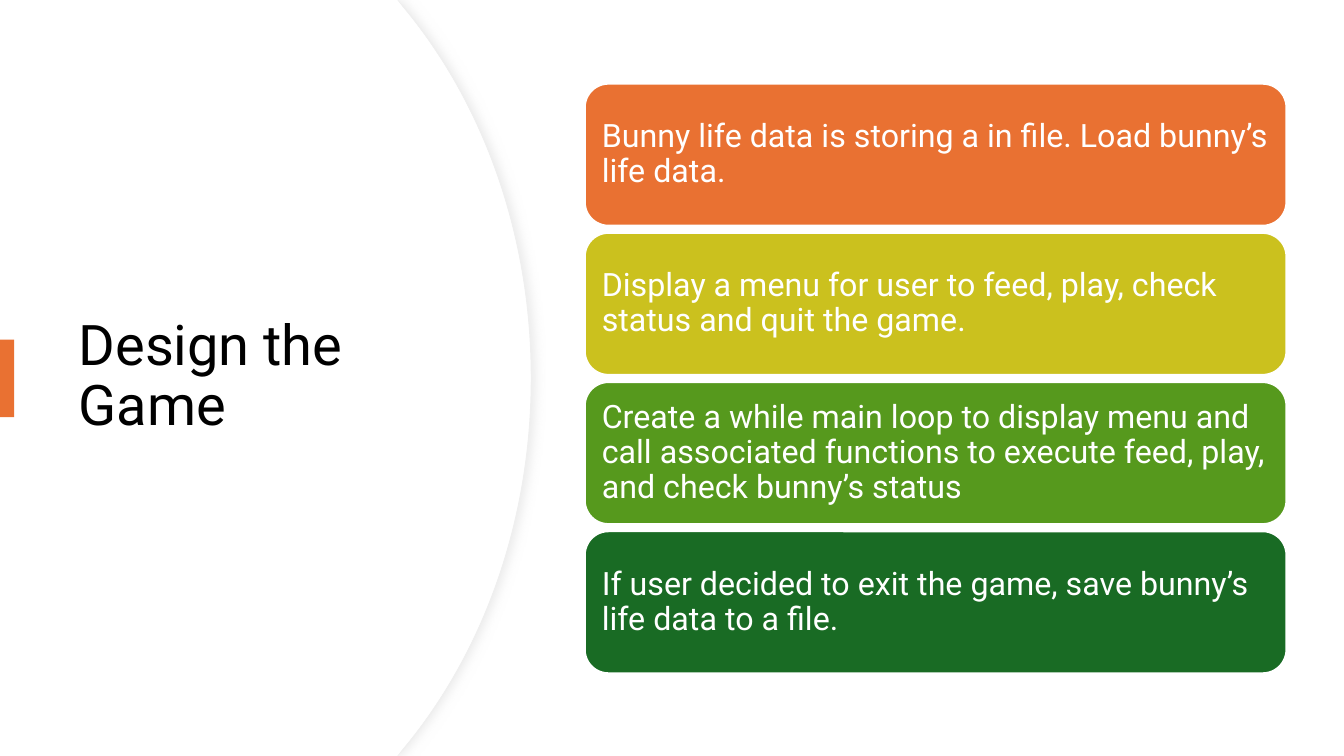
from lxml.etree import SubElement
from pptx import Presentation
from pptx.dml.color import RGBColor
from pptx.enum.shapes import MSO_SHAPE
from pptx.enum.text import MSO_ANCHOR, MSO_AUTO_SIZE, PP_ALIGN
from pptx.oxml.ns import qn
from pptx.util import Pt

PX = 9144  # EMU per px, 100 px to the inch
SLIDE_W, SLIDE_H = 1333, 750
FONT = "Roboto"

WHITE = RGBColor(0xFF, 0xFF, 0xFF)
BLACK = RGBColor(0x00, 0x00, 0x00)
EDGE_GREY = RGBColor(0xEF, 0xEF, 0xEF)
SHADOW_GREY = RGBColor(0xD9, 0xD9, 0xD9)
ORANGE = RGBColor(0xE9, 0x71, 0x32)
YELLOW = RGBColor(0xCB, 0xC1, 0x1E)
GREEN = RGBColor(0x56, 0x99, 0x1D)
DARK_GREEN = RGBColor(0x19, 0x6B, 0x24)

STEPS = [
    ("Bunny life data is storing a in file. Load bunny’s life data.", ORANGE),
    ("Display a menu for user to feed, play, check status and quit the game.", YELLOW),
    ("Create a while main loop to display menu and call associated functions "
     "to execute feed, play, and check bunny’s status", GREEN),
    ("If user decided to exit the game, save bunny’s life data to a file.", DARK_GREEN),
]
STEP_LEFT, STEP_TOP, STEP_W, STEP_H, STEP_PITCH = 580, 83, 696, 141, 148
STEP_PAD = 7


def bend(segment, controls):
    """Turn a straight path segment into a cubic curve with two control points."""
    segment.tag = qn("a:cubicBezTo")
    for i, (x, y) in enumerate(controls):
        segment.insert(i, segment.makeelement(qn("a:pt"), {"x": str(x), "y": str(y)}))


def add_curved_panel(slide, right):
    """White panel from the left slide edge, bulging out to right."""
    builder = slide.shapes.build_freeform(0, 0, scale=PX)
    builder.add_line_segments([
        (394, 0), (right - 126, 8), (right, SLIDE_H // 2),
        (right - 126, SLIDE_H - 8), (394, SLIDE_H), (0, SLIDE_H)])
    s = builder.convert_to_shape()
    segments = list(s._element.iter(qn("a:lnTo")))
    controls = [(right - 48, 102), (right, 232)]
    bend(segments[2], controls)
    bend(segments[3], [(x, SLIDE_H - y) for x, y in reversed(controls)])
    s.shadow.inherit = False
    s.fill.solid()
    s.fill.fore_color.rgb = WHITE
    s.line.fill.background()
    return s


def add_soft_edge(s):
    """Thin grey outline and a soft shadow to the right."""
    s.line.color.rgb = EDGE_GREY
    s.line.width = Pt(0.75)
    effects = s._element.spPr.find(qn("a:effectLst"))
    shadow = SubElement(effects, qn("a:outerShdw"), blurRad=str(Pt(7)),
                        dist=str(Pt(3)), dir="0", algn="l", rotWithShape="0")
    color = SubElement(shadow, qn("a:srgbClr"), val=str(SHADOW_GREY))
    SubElement(color, qn("a:alpha"), val="50000")


def add_block(shapes, kind, left, top, width, height, fill):
    s = shapes.add_shape(kind, left * PX, top * PX, width * PX, height * PX)
    s.shadow.inherit = False
    s.fill.solid()
    s.fill.fore_color.rgb = fill
    s.line.fill.background()
    return s


def write_text(s, text, size, color):
    tf = s.text_frame
    tf.text = text
    tf.word_wrap = True
    tf.auto_size = MSO_AUTO_SIZE.NONE
    tf.vertical_anchor = MSO_ANCHOR.MIDDLE
    p = tf.paragraphs[0]
    p.alignment = PP_ALIGN.LEFT
    p.line_spacing = 0.9
    p.font.name = FONT
    p.font.size = Pt(size)
    p.font.color.rgb = color


def place_title(slide, text):
    title = slide.shapes.title
    title.left, title.top = 68 * PX, 127 * PX
    title.width, title.height = 394 * PX, 495 * PX
    write_text(title, text, 40, BLACK)
    slide.shapes._spTree.append(title._element)  # in front of the panels


def add_step(shapes, index, text, fill):
    top = STEP_TOP + index * STEP_PITCH
    card = add_block(shapes, MSO_SHAPE.ROUNDED_RECTANGLE,
                     STEP_LEFT, top, STEP_W, STEP_H, fill)
    card.line.color.rgb = WHITE
    card.line.width = Pt(1.5)
    label = shapes.add_textbox((STEP_LEFT + STEP_PAD) * PX, (top + STEP_PAD) * PX,
                               (STEP_W - 2 * STEP_PAD) * PX, (STEP_H - 2 * STEP_PAD) * PX)
    tf = label.text_frame
    tf.margin_left = tf.margin_right = tf.margin_top = tf.margin_bottom = 10 * PX
    write_text(label, text, 23, WHITE)


def main():
    prs = Presentation()
    prs.slide_width, prs.slide_height = SLIDE_W * PX, SLIDE_H * PX
    slide = prs.slides.add_slide(prs.slide_layouts[5])

    add_soft_edge(add_curved_panel(slide, 527))
    add_curved_panel(slide, 526)
    place_title(slide, "Design the Game")
    add_block(slide.shapes, MSO_SHAPE.RECTANGLE, 0, 337, 14, 77, ORANGE)
    steps = slide.shapes.add_group_shape()
    for index, (text, fill) in enumerate(STEPS):
        add_step(steps.shapes, index, text, fill)

    prs.save("out.pptx")


if __name__ == "__main__":
    main()
